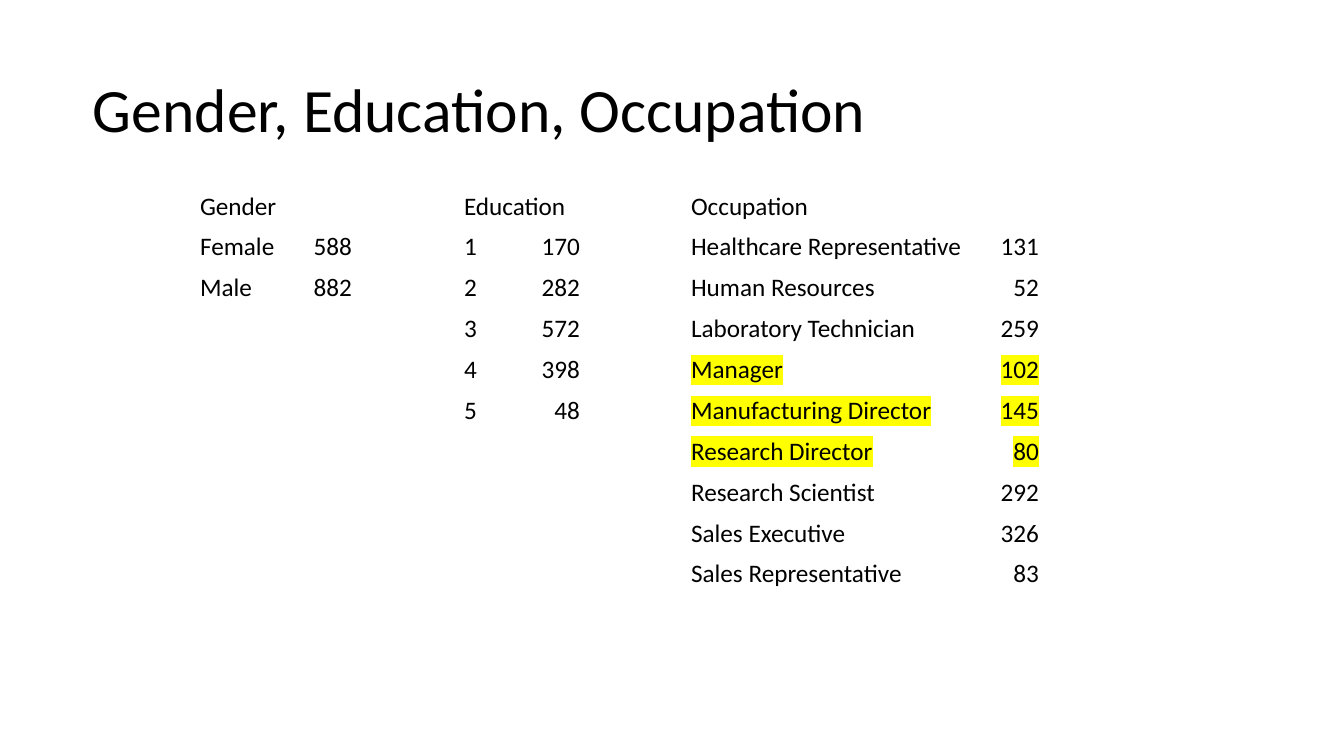
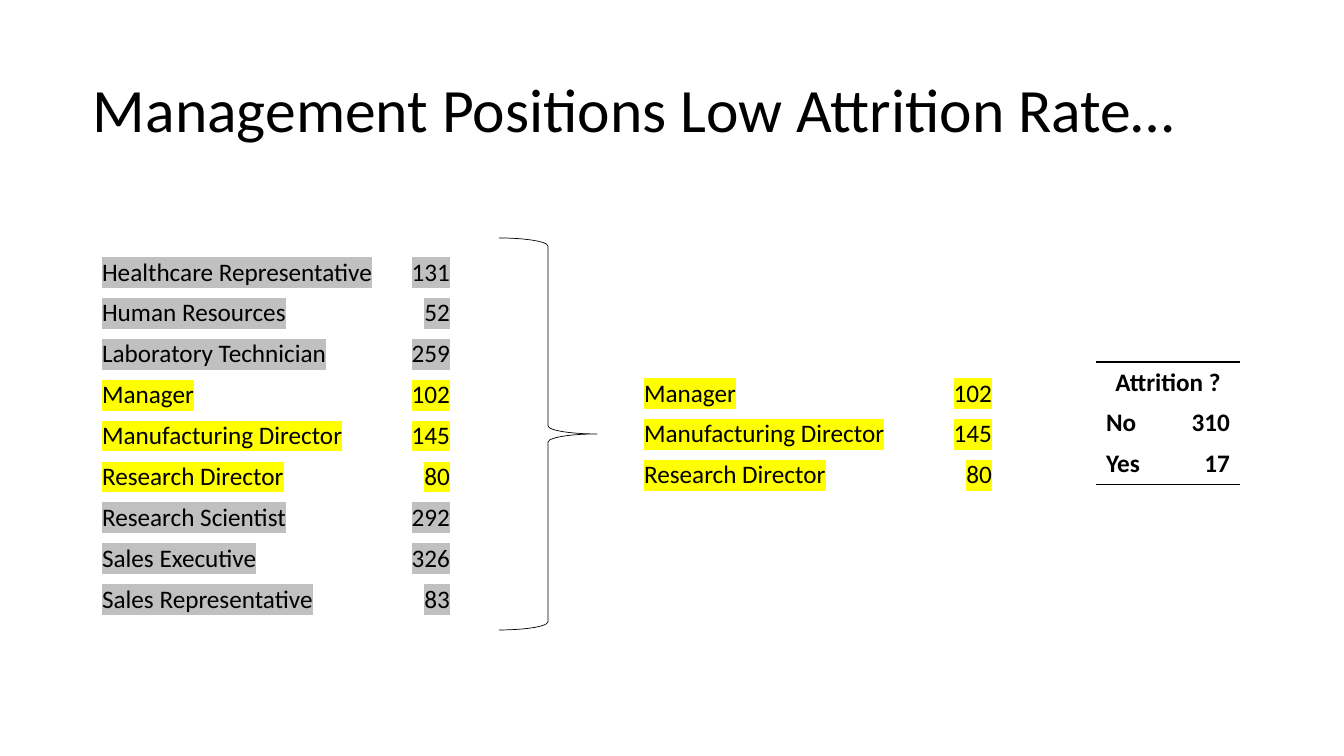
"""Build two slides on workforce counts and attrition among managers."""
from dataclasses import dataclass

from lxml import etree
from pptx import Presentation
from pptx.dml.color import RGBColor
from pptx.enum.shapes import MSO_SHAPE
from pptx.enum.text import MSO_ANCHOR, PP_ALIGN
from pptx.oxml.ns import qn
from pptx.util import Emu, Pt

LEFT, CENTER, RIGHT = PP_ALIGN.LEFT, PP_ALIGN.CENTER, PP_ALIGN.RIGHT
MIDDLE = MSO_ANCHOR.MIDDLE
RIGHT_BRACE = MSO_SHAPE.RIGHT_BRACE
EMU_PER_PIXEL = 914400 / 100.8
TITLE_ONLY = 5
PLAIN_TABLE_STYLE = "{2D5ABB26-0587-4C30-8999-92F81FD0307C}"


@dataclass(frozen=True)
class Theme:
    """Colours, type sizes and line weights shared by the slides."""
    font: str = "Calibri"
    ink: str = "000000"
    management: str = "FFFF00"
    other_staff: str = "C0C0C0"
    title_size: int = 44
    table_size: int = 18
    brace_weight: float = 0.5
    rule_weight: int = 1


THEME = Theme()
ROW_HEIGHT = 40
COUNT_WIDTH = 72
OCCUPATION_WIDTHS = (296, COUNT_WIDTH)
GENDERS = [("Female", "588"), ("Male", "882")]
EDUCATION_LEVELS = [("1", "170"), ("2", "282"), ("3", "572"), ("4", "398"), ("5", "48")]
OCCUPATIONS = [
    ("Healthcare Representative", "131"),
    ("Human Resources", "52"),
    ("Laboratory Technician", "259"),
    ("Manager", "102"),
    ("Manufacturing Director", "145"),
    ("Research Director", "80"),
    ("Research Scientist", "292"),
    ("Sales Executive", "326"),
    ("Sales Representative", "83"),
]
MANAGEMENT = OCCUPATIONS[3:6]
ATTRITION = [("No", "310"), ("Yes", "17")]


def px(pixels):
    """Convert pixels to EMU."""
    return Emu(round(pixels * EMU_PER_PIXEL))


def add_run(paragraph, text, size, bold=False, highlight=None):
    """Append one styled run to a paragraph."""
    run = paragraph.add_run()
    run.text = text
    run.font.name = THEME.font
    run.font.size = Pt(size)
    run.font.bold = bold
    run.font.color.rgb = RGBColor.from_string(THEME.ink)
    if highlight:
        mark = etree.Element(qn("a:highlight"))
        etree.SubElement(mark, qn("a:srgbClr"), val=highlight)
        run._r.get_or_add_rPr().find(qn("a:solidFill")).addnext(mark)


def add_titled_slide(deck, title):
    """Add a title-only slide with its title in the shared style."""
    slide = deck.slides.add_slide(deck.slide_layouts[TITLE_ONLY])
    heading = slide.shapes.title
    heading.left, heading.top, heading.width, heading.height = map(px, (93, 40, 1159, 146))
    frame = heading.text_frame
    frame.margin_left = frame.margin_right = frame.margin_top = frame.margin_bottom = 0
    frame.vertical_anchor = MIDDLE
    frame.word_wrap = True
    paragraph = frame.paragraphs[0]
    paragraph.alignment = LEFT
    paragraph.line_spacing = 0.9
    add_run(paragraph, title, THEME.title_size)
    return slide


def add_rule(cell, edge):
    """Draw a rule along the top (lnT) or bottom (lnB) edge of a cell."""
    rule = etree.Element(qn(f"a:{edge}"), w=str(Pt(THEME.rule_weight)))
    fill = etree.SubElement(rule, qn("a:solidFill"))
    etree.SubElement(fill, qn("a:srgbClr"), val=THEME.ink)
    cell._tc.get_or_add_tcPr().insert(0, rule)


def fill_cell(cell, text, align, bold=False, highlight=None):
    """Write one aligned text into a cell."""
    paragraph = cell.text_frame.paragraphs[0]
    paragraph.alignment = align
    add_run(paragraph, text, THEME.table_size, bold, highlight)


def add_count_table(slide, left, top, widths, counts, header=None, merge_header=True,
                    header_align=LEFT, bold=False, highlight_of=None):
    """Add a two-column table of labels and counts, with an optional header row."""
    header_rows = 1 if header else 0
    row_count = len(counts) + header_rows
    table = slide.shapes.add_table(row_count, 2, px(left), px(top), px(sum(widths)),
                                   px(ROW_HEIGHT * row_count)).table
    table.first_row = table.horz_banding = False
    table._tbl.tblPr.find(qn("a:tableStyleId")).text = PLAIN_TABLE_STYLE
    for column, width in zip(table.columns, widths):
        column.width = px(width)
    for row in table.rows:
        row.height = px(ROW_HEIGHT)
    for cell in table.iter_cells():
        cell.fill.background()
        cell.vertical_anchor = MIDDLE
    if header:
        fill_cell(table.cell(0, 0), header, header_align, bold)
        if merge_header:
            table.cell(0, 0).merge(table.cell(0, 1))
    for row, (label, count) in enumerate(counts, header_rows):
        highlight = highlight_of(label) if highlight_of else None
        fill_cell(table.cell(row, 0), label, LEFT, bold, highlight)
        fill_cell(table.cell(row, 1), count, RIGHT, bold, highlight)
    return table


def add_brace(slide, left, top, width, height):
    """Add a thin, unfilled right brace."""
    brace = slide.shapes.add_shape(RIGHT_BRACE, *map(px, (left, top, width, height)))
    brace.shadow.inherit = False
    brace.fill.background()
    brace.line.color.rgb = RGBColor.from_string(THEME.ink)
    brace.line.width = Pt(THEME.brace_weight)


def management_mark(label, other=None):
    """Return the highlight of an occupation."""
    return THEME.management if label in dict(MANAGEMENT) else other


def all_staff_mark(label):
    """Return the highlight of an occupation, with other staff marked too."""
    return management_mark(label, THEME.other_staff)


def build_demographics(deck):
    """Build the slide of counts by gender, education and occupation."""
    slide = add_titled_slide(deck, "Gender, Education, Occupation")
    top = 186
    add_count_table(slide, 190, top, (100, COUNT_WIDTH), GENDERS, "Gender")
    add_count_table(slide, 454, top, (47, 89), EDUCATION_LEVELS, "Education")
    add_count_table(slide, 681, top, OCCUPATION_WIDTHS, OCCUPATIONS, "Occupation",
                    merge_header=False, highlight_of=management_mark)


def build_attrition(deck):
    """Build the slide that narrows occupations to management attrition."""
    slide = add_titled_slide(deck, "Management Positions Low Attrition Rate…")
    add_count_table(slide, 92, 252, OCCUPATION_WIDTHS, OCCUPATIONS,
                    highlight_of=all_staff_mark)
    add_brace(slide, 499, 238, 98, 392)
    add_count_table(slide, 634, 373, OCCUPATION_WIDTHS, MANAGEMENT,
                    highlight_of=management_mark)
    attrition = add_count_table(slide, 1096, 362, (72, COUNT_WIDTH), ATTRITION,
                                "Attrition ?", header_align=CENTER, bold=True)
    for column in range(2):
        add_rule(attrition.cell(0, column), "lnT")
        add_rule(attrition.cell(len(ATTRITION), column), "lnB")


def main():
    """Build and save the deck."""
    deck = Presentation()
    deck.slide_width, deck.slide_height = px(1344), px(756)
    build_demographics(deck)
    build_attrition(deck)
    deck.save("out.pptx")


main()
